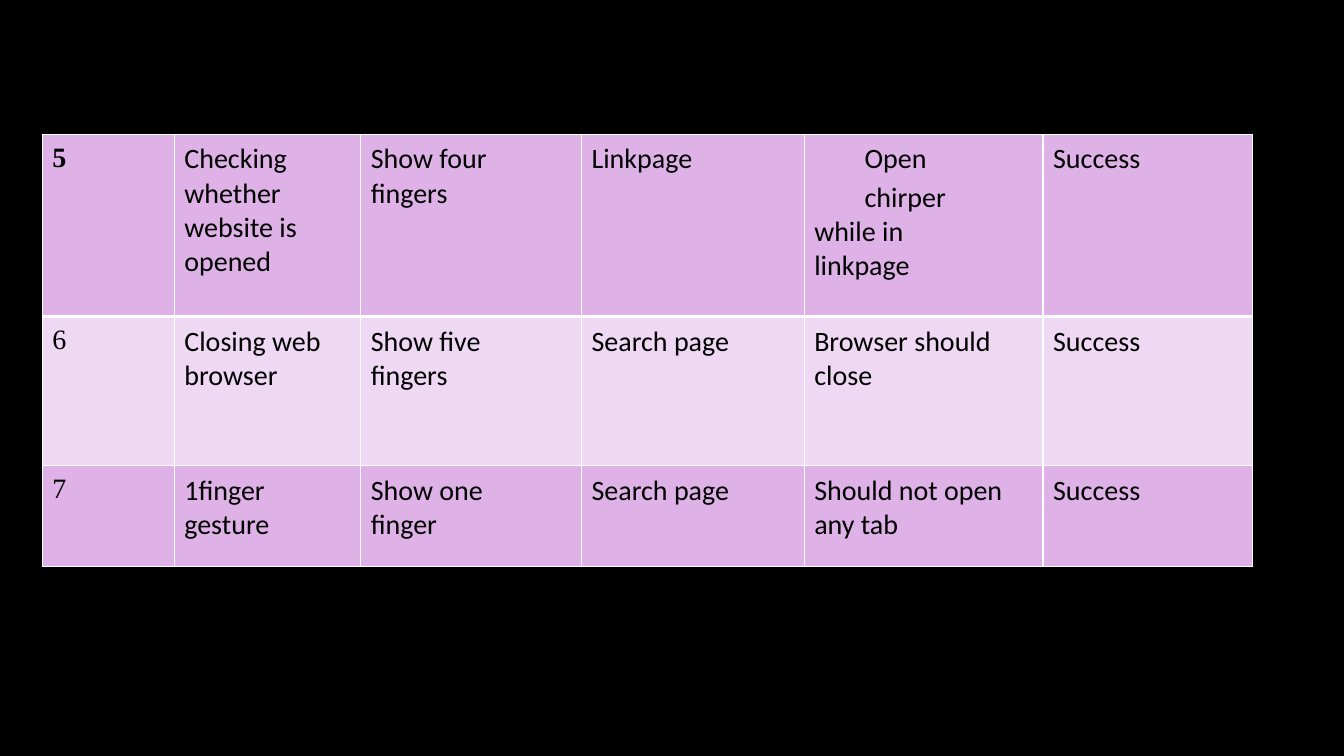
import pptx
import pptx.util
import pptx.dml.color
import pptx.oxml
import pptx.oxml.ns
from dataclasses import dataclass

Pt = pptx.util.Pt
RGB = pptx.dml.color.RGBColor.from_string


@dataclass(frozen=True)
class Theme:
    background: str = "000000"
    text: str = "000000"
    border: str = "FFFFFF"
    bands: tuple = ("DEB2E6", "EED8F3")
    number_font: str = "Times New Roman"
    body_font: str = "Calibri"
    size: float = 20
    thin: float = 1
    thick: float = 3


THEME = Theme()
COLUMN_WIDTHS = (94.3, 133.2, 157.7, 159.1, 170.6, 149.8)
ROW_HEIGHTS = (130.3, 106.6, 72)
INDENT = 7.2
DEEP_INDENT = 37.4
DEEP_FIRST_LINE = 5.8
DEEP_LINES = ("Open", "chirper")
TEST_CASES = (
    ("5", "Checking whether website is opened", "Show four fingers",
     "Linkpage", "Open\nchirper\nwhile in\nlinkpage", "Success"),
    ("6", "Closing web browser", "Show five fingers",
     "Search page", "Browser should close", "Success"),
    ("7", "1finger\ngesture", "Show one\nfinger",
     "Search page", "Should not open any tab", "Success"),
)


def set_borders(cell, top, bottom):
    tc_pr = cell._tc.get_or_add_tcPr()
    widths = (("lnL", THEME.thin), ("lnR", THEME.thin),
              ("lnT", top), ("lnB", bottom))
    for i, (tag, width) in enumerate(widths):
        line = pptx.oxml.parse_xml(
            f'<a:{tag} {pptx.oxml.ns.nsdecls("a")} w="{Pt(width)}">'
            f'<a:solidFill><a:srgbClr val="{THEME.border}"/></a:solidFill>'
            f'</a:{tag}>')
        tc_pr.insert(i, line)


def write_cell(cell, text, font, bold):
    cell.margin_left = cell.margin_bottom = 0
    cell.margin_right = Pt(24)
    cell.margin_top = Pt(5.7)
    tf = cell.text_frame
    for i, line in enumerate(text.split("\n")):
        p = tf.paragraphs[0] if i == 0 else tf.add_paragraph()
        deep = line in DEEP_LINES
        p_pr = p._p.get_or_add_pPr()
        p_pr.set("marL", str(Pt(DEEP_INDENT if deep else INDENT)))
        p_pr.set("indent", str(Pt(DEEP_FIRST_LINE if deep else 0)))
        if deep and i > 0:
            p.space_before = Pt(2.8)
        r = p.add_run()
        r.text = line
        r.font.name = font
        r.font.size = Pt(THEME.size)
        r.font.bold = bold
        r.font.color.rgb = RGB(THEME.text)


def add_test_table(s, left, top):
    table = s.shapes.add_table(
        len(ROW_HEIGHTS), len(COLUMN_WIDTHS), Pt(left), Pt(top),
        Pt(sum(COLUMN_WIDTHS)), Pt(sum(ROW_HEIGHTS))).table
    table.first_row = False
    table.horz_banding = False
    for column, width in zip(table.columns, COLUMN_WIDTHS):
        column.width = Pt(width)
    for i, case in enumerate(TEST_CASES):
        table.rows[i].height = Pt(ROW_HEIGHTS[i])
        for j, text in enumerate(case):
            cell = table.cell(i, j)
            cell.fill.solid()
            cell.fill.fore_color.rgb = RGB(THEME.bands[i % 2])
            set_borders(cell, THEME.thick if i == 1 else THEME.thin,
                        THEME.thick if i == 0 else THEME.thin)
            font = THEME.number_font if j == 0 else THEME.body_font
            write_cell(cell, text, font, i == 0 and j == 0)


def main():
    prs = pptx.Presentation()
    prs.slide_width = Pt(960)
    prs.slide_height = Pt(540)
    s = prs.slides.add_slide(prs.slide_layouts[6])
    s.background.fill.solid()
    s.background.fill.fore_color.rgb = RGB(THEME.background)
    add_test_table(s, 30.2, 95.8)
    prs.save("out.pptx")


if __name__ == "__main__":
    main()
